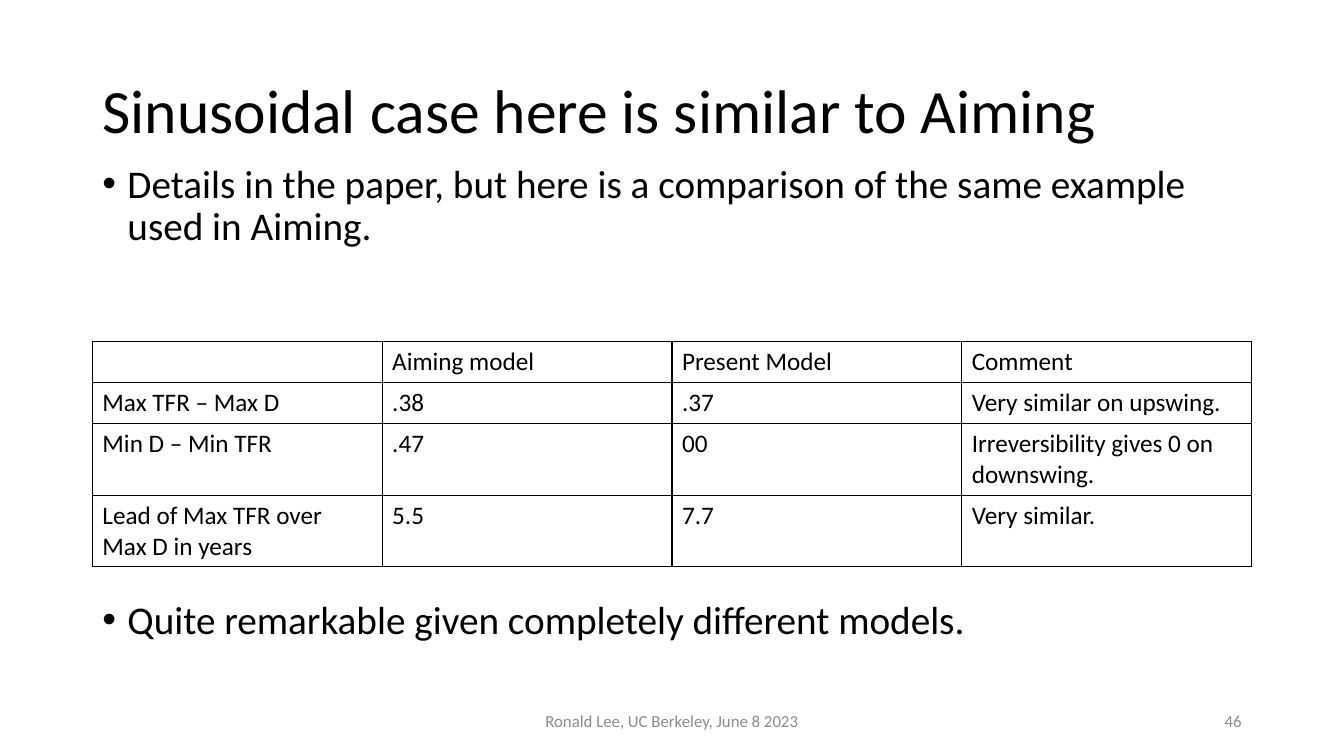
from dataclasses import dataclass

from lxml.etree import SubElement
from pptx import Presentation
from pptx.dml.color import RGBColor
from pptx.enum.text import MSO_ANCHOR, MSO_AUTO_SIZE, PP_ALIGN
from pptx.oxml.ns import qn
from pptx.util import Inches, Pt


@dataclass(frozen=True)
class Theme:
    font: str = "Calibri"
    ink: str = "000000"
    muted: str = "8C8C8C"
    title: int = 44
    body: int = 28
    table: int = 18
    footer: int = 12
    border: int = 1


def write(tf, text, font, size, color, align=PP_ALIGN.LEFT,
          anchor=MSO_ANCHOR.TOP, spacing=1.0):
    tf.word_wrap = True
    tf.vertical_anchor = anchor
    p = tf.paragraphs[0]
    p.alignment = align
    p.line_spacing = spacing
    r = p.add_run()
    r.text = text
    r.font.name = font
    r.font.size = Pt(size)
    r.font.color.rgb = RGBColor.from_string(color)
    return p


class SlideBuilder:
    COLS, ROWS = 160, 90

    def __init__(self, prs, theme):
        self.theme = theme
        self.col = prs.slide_width / self.COLS
        self.row = prs.slide_height / self.ROWS
        self.s = prs.slides.add_slide(prs.slide_layouts[5])

    def box(self, x, y, w, h):
        return (round(x * self.col), round(y * self.row),
                round(w * self.col), round(h * self.row))

    def title(self, text, *area):
        sp = self.s.shapes.title
        sp.left, sp.top, sp.width, sp.height = self.box(*area)
        sp.text_frame.auto_size = MSO_AUTO_SIZE.NONE
        write(sp.text_frame, text, self.theme.font, self.theme.title,
              self.theme.ink, anchor=MSO_ANCHOR.MIDDLE, spacing=0.9)

    def bullet(self, text, *area):
        sp = self.s.shapes.add_textbox(*self.box(*area))
        p = write(sp.text_frame, text, self.theme.font, self.theme.body,
                  self.theme.ink, spacing=0.9)
        pPr = p._p.get_or_add_pPr()
        pPr.set("marL", str(Inches(0.25)))
        pPr.set("indent", str(-Inches(0.25)))
        SubElement(pPr, qn("a:buFont"), typeface="Arial")
        SubElement(pPr, qn("a:buChar"), char="•")

    def footer(self, text, align, *area):
        sp = self.s.shapes.add_textbox(*self.box(*area))
        write(sp.text_frame, text, self.theme.font, self.theme.footer,
              self.theme.muted, align=align, anchor=MSO_ANCHOR.MIDDLE)

    def table(self, rows, heights, x, y, w):
        area = self.box(x, y, w, sum(heights))
        tbl = self.s.shapes.add_table(len(rows), len(rows[0]), *area).table
        tbl.first_row = tbl.horz_banding = False
        for i, (values, height) in enumerate(zip(rows, heights)):
            tbl.rows[i].height = round(height * self.row)
            for j, value in enumerate(values):
                self.cell(tbl.cell(i, j), value)

    def cell(self, cell, value):
        if value:
            write(cell.text_frame, value, self.theme.font, self.theme.table,
                  self.theme.ink)
        tcPr = cell._tc.get_or_add_tcPr()
        for side in ("lnL", "lnR", "lnT", "lnB"):
            ln = SubElement(tcPr, qn(f"a:{side}"), w=str(Pt(self.theme.border)))
            fill = SubElement(ln, qn("a:solidFill"))
            SubElement(fill, qn("a:srgbClr"), val=self.theme.ink)
        cell.fill.background()


def main():
    prs = Presentation()
    prs.slide_width, prs.slide_height = Inches(40 / 3), Inches(7.5)
    slide = SlideBuilder(prs, Theme())
    left, width = 11, 138

    slide.title("Sinusoidal case here is similar to Aiming", left, 4.8, width, 17.4)
    slide.footer("Ronald Lee, UC Berkeley, June 8 2023", PP_ALIGN.CENTER,
                 53, 83.4, 54, 4.8)
    slide.footer("46", PP_ALIGN.RIGHT, 113, 83.4, 36, 4.8)
    slide.bullet("Details in the paper, but here is a comparison of the same "
                 "example used in Aiming.", left, 19, width, 12)
    slide.table([
        ["", "Aiming model", "Present Model", "Comment"],
        ["Max TFR – Max D", ".38", ".37", "Very similar on upswing."],
        ["Min D – Min TFR", ".47", "00", "Irreversibility gives 0 on downswing."],
        ["Lead of Max TFR over Max D in years", "5.5", "7.7", "Very similar."],
    ], [4.87, 4.87, 8.53, 8.53], left, 40.7, width)
    slide.bullet("Quite remarkable given completely different models.",
                 left, 70.9, width, 7)
    prs.save("out.pptx")


if __name__ == "__main__":
    main()
